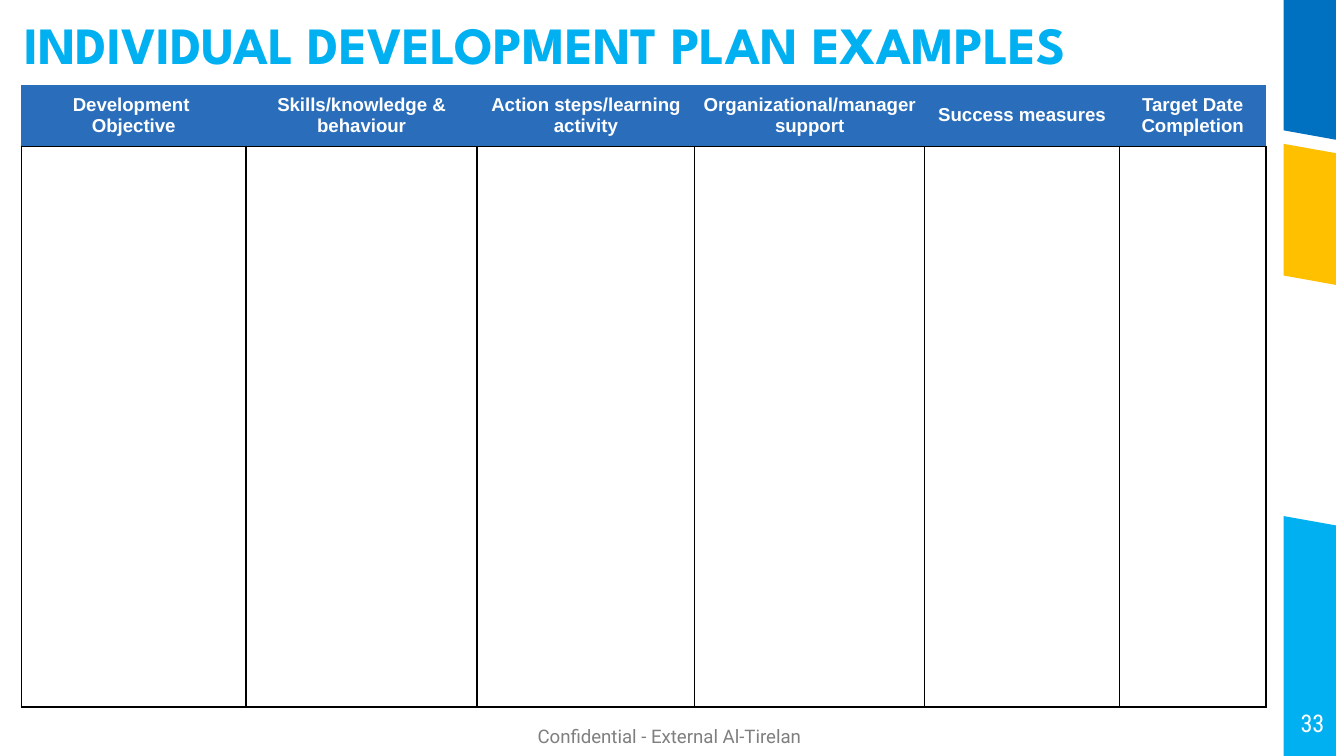
"""Build the individual development plan slide with an empty planning table."""
from typing import NamedTuple

from lxml import etree
from pptx import Presentation
from pptx import util as u
from pptx.dml.color import RGBColor
from pptx.enum import text
from pptx.oxml.ns import qn

CYAN, GOLD, BLUE, HEADER_BLUE = "00B0F0", "FFC000", "0070C0", "2A6EBB"
WHITE, BLACK, GRAY = "FFFFFF", "000000", "7F7F7F"
BAND_LEFT, BAND_RIGHT = 9.55, 9.94
SIDES = ("L", "R", "T", "B")
SLIDE_WIDTH = 10
SLIDE_HEIGHT = SLIDE_WIDTH * 9 / 16


class Band(NamedTuple):
    color: str
    top_left: float
    top_right: float
    bottom_right: float
    bottom_left: float


class Column(NamedTuple):
    heading: str
    width: float


class Label(NamedTuple):
    words: str
    box: tuple[float, float, float, float]
    font: str
    size: float
    color: str
    align: text.PP_ALIGN
    anchor: text.MSO_ANCHOR


BANDS = [
    Band(CYAN, 3.84, 3.91, SLIDE_HEIGHT, SLIDE_HEIGHT),
    Band(GOLD, 1.07, 1.14, 2.12, 2.05),
    Band(BLUE, 0, 0, 1.04, 0.97),
]
COLUMNS = [
    Column("Development \nObjective", 1.67),
    Column("Skills/knowledge & behaviour", 1.72),
    Column("Action steps/learning activity", 1.62),
    Column("Organizational/manager support", 1.71),
    Column("Success measures", 1.45),
    Column("Target Date Completion", 1.09),
]
ROW_HEIGHTS = [0.46, 4.17]
LABELS = [
    Label("Confidential - External Al-Tirelan", (4, 5.39, 2.02, 0.17), "Roboto", 10,
          GRAY, text.PP_ALIGN.LEFT, text.MSO_ANCHOR.TOP),
    Label("33", (9.57, 5.13, 0.39, 0.5), "Roboto Condensed", 13,
          WHITE, text.PP_ALIGN.CENTER, text.MSO_ANCHOR.MIDDLE),
]


def rgb(color: str) -> RGBColor:
    return RGBColor.from_string(color)


def style_font(paragraph, name: str, size: float, color: str, bold: bool = False) -> None:
    font = paragraph.font
    font.name, font.size, font.bold = name, u.Pt(size), bold
    font.color.rgb = rgb(color)


def draw_title(slide, words: str) -> None:
    title = slide.shapes.title
    title.left, title.top = u.Inches(0.08), u.Inches(0.09)
    title.width, title.height = u.Inches(8.28), u.Inches(0.53)
    frame = title.text_frame
    frame.text = words
    frame.auto_size = text.MSO_AUTO_SIZE.NONE
    frame.vertical_anchor = text.MSO_ANCHOR.TOP
    heading = frame.paragraphs[0]
    heading.alignment = text.PP_ALIGN.LEFT
    heading.line_spacing = 0.9
    style_font(heading, "League Spartan", 28, CYAN, True)


def draw_band(slide, band: Band) -> None:
    corners = [
        (u.Inches(BAND_LEFT), u.Inches(band.top_left)),
        (u.Inches(BAND_RIGHT), u.Inches(band.top_right)),
        (u.Inches(BAND_RIGHT), u.Inches(band.bottom_right)),
        (u.Inches(BAND_LEFT), u.Inches(band.bottom_left)),
    ]
    builder = slide.shapes.build_freeform(*corners[0])
    builder.add_line_segments(corners[1:], close=True)
    outline = builder.convert_to_shape()
    outline.shadow.inherit = False
    outline.fill.solid()
    outline.fill.fore_color.rgb = rgb(band.color)
    outline.line.fill.background()


def draw_label(slide, label: Label) -> None:
    frame = slide.shapes.add_textbox(*map(u.Inches, label.box)).text_frame
    frame.margin_left = frame.margin_right = frame.margin_top = frame.margin_bottom = 0
    frame.word_wrap = False
    frame.vertical_anchor = label.anchor
    frame.text = label.words
    frame.paragraphs[0].alignment = label.align
    style_font(frame.paragraphs[0], label.font, label.size, label.color)


def set_borders(cell, black_sides: tuple[str, ...]) -> None:
    properties = cell._tc.get_or_add_tcPr()
    for side in SIDES:
        border = etree.SubElement(properties, qn(f"a:ln{side}"), w=str(u.Pt(1)))
        if side in black_sides:
            fill = etree.SubElement(border, qn("a:solidFill"))
            etree.SubElement(fill, qn("a:srgbClr"), val=BLACK)
        else:
            etree.SubElement(border, qn("a:noFill"))


def fill_heading(cell, heading: str) -> None:
    set_borders(cell, ("B",))
    cell.fill.solid()
    cell.fill.fore_color.rgb = rgb(HEADER_BLUE)
    cell.margin_left = cell.margin_right = u.Inches(0.05)
    cell.margin_top = cell.margin_bottom = 0
    cell.vertical_anchor = text.MSO_ANCHOR.MIDDLE
    cell.text_frame.text = heading
    for paragraph in cell.text_frame.paragraphs:
        paragraph.alignment = text.PP_ALIGN.CENTER
        style_font(paragraph, "Arial", 10, WHITE, True)


def draw_plan(slide) -> None:
    width = sum(column.width for column in COLUMNS)
    plan = slide.shapes.add_table(
        len(ROW_HEIGHTS), len(COLUMNS), u.Inches(0.16), u.Inches(0.63),
        u.Inches(width), u.Inches(sum(ROW_HEIGHTS))).table
    plan.first_row = plan.horz_banding = False
    for row, height in zip(plan.rows, ROW_HEIGHTS):
        row.height = u.Inches(height)
    for index, column in enumerate(COLUMNS):
        plan.columns[index].width = u.Inches(column.width)
        fill_heading(plan.cell(0, index), column.heading)
        entry = plan.cell(1, index)
        set_borders(entry, SIDES)
        entry.fill.background()


def main() -> None:
    deck = Presentation()
    deck.slide_width, deck.slide_height = u.Inches(SLIDE_WIDTH), u.Inches(SLIDE_HEIGHT)
    slide = deck.slides.add_slide(deck.slide_layouts[5])
    draw_title(slide, "INDIVIDUAL DEVELOPMENT PLAN EXAMPLES")
    for band in BANDS:
        draw_band(slide, band)
    for label in LABELS:
        draw_label(slide, label)
    draw_plan(slide)
    deck.save("out.pptx")


if __name__ == "__main__":
    main()
